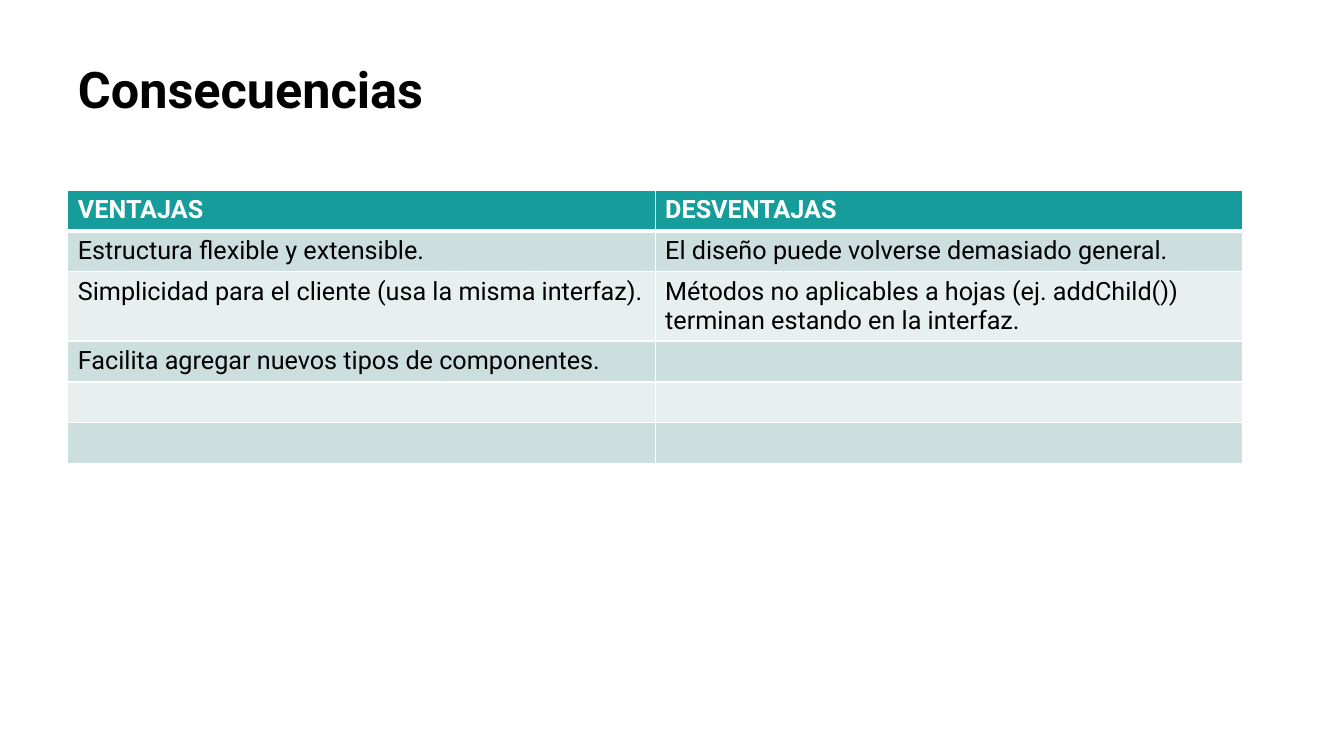
from lxml.etree import SubElement
from pptx import Presentation
from pptx.dml.color import RGBColor
from pptx.enum.text import MSO_ANCHOR, PP_ALIGN
from pptx.oxml.ns import qn
from pptx.util import Cm, Pt

BLACK = RGBColor(0x00, 0x00, 0x00)
WHITE = RGBColor(0xFF, 0xFF, 0xFF)
TEAL = RGBColor(0x16, 0x9C, 0x9A)
MIST = RGBColor(0xCC, 0xDE, 0xDE)
PALE = RGBColor(0xE8, 0xEF, 0xEF)


def write(frame, text, size=18, color=BLACK, bold=False, spacing=1.0):
    paragraph = frame.paragraphs[0]
    paragraph.alignment = PP_ALIGN.LEFT
    paragraph.line_spacing = spacing
    paragraph.font.size = Pt(size)
    if text:
        run = paragraph.add_run()
        run.text = text
        run.font.name = "Roboto"
        run.font.size = Pt(size)
        run.font.bold = bold
        run.font.color.rgb = color


def add_borders(cell, **widths):
    properties = cell._tc.get_or_add_tcPr()
    for side in "LRTB":
        line = SubElement(properties, qn(f"a:ln{side}"), w=str(Pt(widths.get(side, 1))))
        fill = SubElement(line, qn("a:solidFill"))
        SubElement(fill, qn("a:srgbClr"), val=str(WHITE))


presentation = Presentation()
presentation.slide_width = Cm(33.87)
presentation.slide_height = Cm(19.05)
slide = presentation.slides.add_slide(presentation.slide_layouts[5])

heading = slide.shapes.title
heading.left, heading.top = Cm(1.71), Cm(1.52)
heading.width, heading.height = Cm(29.6), Cm(3.15)
heading.text_frame.vertical_anchor = MSO_ANCHOR.TOP
heading.text_frame.word_wrap = True
write(heading.text_frame, "Consecuencias", size=36, bold=True, spacing=0.9)

consequences = [
    ("VENTAJAS", "DESVENTAJAS"),
    ("Estructura flexible y extensible.", "El diseño puede volverse demasiado general."),
    (
        "Simplicidad para el cliente (usa la misma interfaz).",
        "Métodos no aplicables a hojas (ej. addChild()) terminan estando en la interfaz.",
    ),
    ("Facilita agregar nuevos tipos de componentes.", ""),
    ("", ""),
    ("", ""),
]
row_height = Cm(1.03)
comparison = slide.shapes.add_table(
    len(consequences), 2, Cm(1.71), Cm(4.79), Cm(29.6), row_height * len(consequences)
).table

for row, entries in enumerate(consequences):
    comparison.rows[row].height = row_height
    is_header = row == 0
    for column, entry in enumerate(entries):
        cell = comparison.cell(row, column)
        add_borders(cell, T=3 if row == 1 else 1, B=3 if is_header else 1)
        cell.fill.solid()
        cell.fill.fore_color.rgb = TEAL if is_header else (PALE, MIST)[row % 2]
        write(cell.text_frame, entry, color=WHITE if is_header else BLACK, bold=is_header)

presentation.save("out.pptx")
